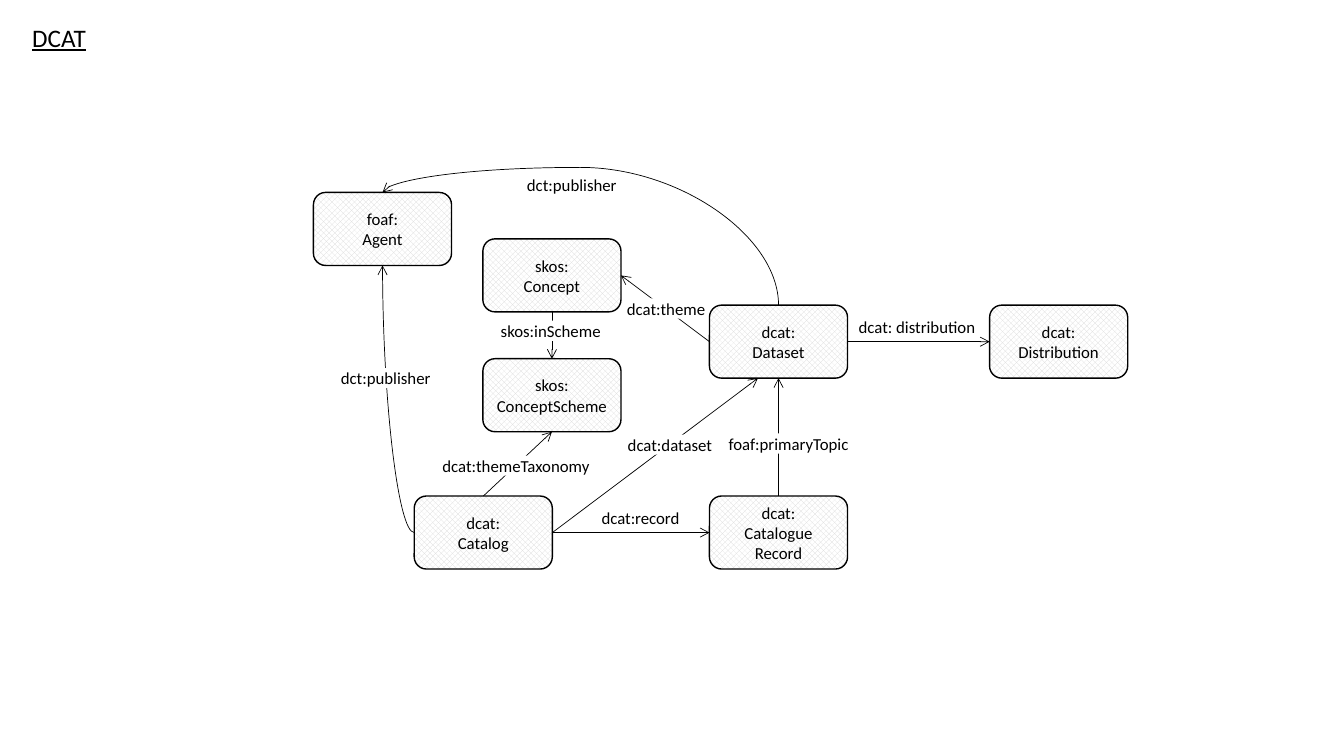
from dataclasses import dataclass

from lxml import etree
from pptx import Presentation
from pptx.dml.color import RGBColor
from pptx.enum.dml import MSO_PATTERN
from pptx.enum.shapes import MSO_CONNECTOR, MSO_SHAPE
from pptx.enum.text import MSO_ANCHOR, MSO_AUTO_SIZE, PP_ALIGN
from pptx.oxml.ns import qn
from pptx.util import Cm, Pt

ROUNDED = MSO_SHAPE.ROUNDED_RECTANGLE
DIAMONDS = MSO_PATTERN.OUTLINED_DIAMOND
STRAIGHT, CURVE = MSO_CONNECTOR.STRAIGHT, MSO_CONNECTOR.CURVE
CENTER, MIDDLE = PP_ALIGN.CENTER, MSO_ANCHOR.MIDDLE
GROW = MSO_AUTO_SIZE.SHAPE_TO_FIT_TEXT
TOP, LEFT, BOTTOM, RIGHT = range(4)


@dataclass(frozen=True)
class Theme:
    font: str = "Calibri"
    ink: RGBColor = RGBColor(0, 0, 0)
    paper: RGBColor = RGBColor(255, 255, 255)
    pattern: RGBColor = RGBColor(0xD9, 0xD9, 0xD9)
    title_size: Pt = Pt(18)
    text_size: Pt = Pt(12)
    border: Pt = Pt(1)
    arrow: Pt = Pt(0.5)


THEME = Theme()
NODE_WIDTH, NODE_HEIGHT = 3.48, 1.84
LABEL_HEIGHT, PADDED_HEIGHT = 0.51, 0.76
DATASET_ENTRY = 1.22  # from the left edge of the Dataset node

# Node: left, top inside the diagram, in cm
NODES = {
    "foaf:\nAgent": (0, 0.63),
    "skos:\nConcept": (4.27, 1.8),
    "skos:\nConceptScheme": (4.27, 4.82),
    "dcat:\nCatalog": (2.54, 8.28),
    "dcat:\nDataset": (9.98, 3.47),
    "dcat:\nCatalogue\nRecord": (9.98, 8.28),
    "dcat:\nDistribution": (17.04, 3.47),
}
# From node and side, to node and side
ARROWS = [
    ("dcat:\nDataset", RIGHT, "dcat:\nDistribution", LEFT),
    ("dcat:\nCatalogue\nRecord", TOP, "dcat:\nDataset", BOTTOM),
    ("dcat:\nCatalog", RIGHT, "dcat:\nCatalogue\nRecord", LEFT),
    ("dcat:\nDataset", LEFT, "skos:\nConcept", RIGHT),
    ("skos:\nConcept", BOTTOM, "skos:\nConceptScheme", TOP),
    ("dcat:\nCatalog", TOP, "skos:\nConceptScheme", BOTTOM),
]
# Text, left, top, width; white labels interrupt the line below them
CLEAR_LABELS = [
    ("dcat: distribution", 13.49, 3.63, 3.48),
    ("dct:publisher", 5.13, 0.05, 2.79),
]
WHITE_LABELS = [
    ("dct:publisher", 0.69, 5.05, 2.29),
    ("skos:inScheme", 4.72, 3.86, 2.57),
    ("dcat:theme", 7.9, 3.3, 2.01),
    ("dcat:dataset", 7.92, 6.73, 2.16),
    ("foaf:primaryTopic", 10.46, 6.7, 3.05),
    ("dcat:record", 7.26, 8.58, 1.98),
    ("dcat:themeTaxonomy", 3.25, 7.26, 3.76),
]


def write(shape, text, size, underline=None):
    paragraph = shape.text_frame.paragraphs[0]
    paragraph.text = text
    for run in paragraph.runs:
        run.font.name = THEME.font
        run.font.size = size
        run.font.underline = underline
        run.font.color.rgb = THEME.ink
    return paragraph


def add_text(slide, text, box, size=THEME.text_size, white=False, underline=None):
    shape = slide.shapes.add_textbox(*box)
    frame = shape.text_frame
    frame.word_wrap = False
    frame.auto_size = GROW
    if white:
        shape.fill.solid()
        shape.fill.fore_color.rgb = THEME.paper
        frame.margin_left = frame.margin_right = 0
        frame.margin_top = frame.margin_bottom = 0
    write(shape, text, size, underline)


def add_node(slide, text, left, top):
    node = slide.shapes.add_shape(ROUNDED, left, top, Cm(NODE_WIDTH), Cm(NODE_HEIGHT))
    node.shadow.inherit = False
    node.fill.patterned()
    node.fill.pattern = DIAMONDS
    node.fill.fore_color.rgb = THEME.pattern
    node.fill.back_color.rgb = THEME.paper
    node.line.color.rgb = THEME.ink
    node.line.width = THEME.border
    node.text_frame.vertical_anchor = MIDDLE
    write(node, text, THEME.text_size).alignment = CENTER
    return node


def side_point(node, side):
    middle_x, middle_y = node.left + node.width // 2, node.top + node.height // 2
    return {
        TOP: (middle_x, node.top),
        LEFT: (node.left, middle_y),
        BOTTOM: (middle_x, node.top + node.height),
        RIGHT: (node.left + node.width, middle_y),
    }[side]


def add_arrow(slide, start, start_side, end, end_side, kind=STRAIGHT, end_point=None):
    """Join two nodes; an end_point leaves the end free."""
    target = end_point or side_point(end, end_side)
    arrow = slide.shapes.add_connector(kind, *side_point(start, start_side), *target)
    arrow.begin_connect(start, start_side)
    if end_point is None:
        arrow.end_connect(end, end_side)
    arrow.line.color.rgb = THEME.ink
    arrow.line.width = THEME.arrow
    properties = arrow.element.spPr
    etree.SubElement(properties.find(qn("a:ln")), qn("a:tailEnd"), type="arrow")
    etree.SubElement(properties, qn("a:effectLst"))
    return arrow


def bend(arrow, preset, box, degrees, flip_vertical=False, adjust=None):
    """Give a curved arrow its preset, turned frame and bulge."""
    arrow.left, arrow.top, arrow.width, arrow.height = box
    properties = arrow.element.spPr
    frame = properties.find(qn("a:xfrm"))
    frame.set("rot", str(degrees * 60000))
    frame.set("flipH", "0")
    frame.set("flipV", str(int(flip_vertical)))
    geometry = properties.find(qn("a:prstGeom"))
    geometry.set("prst", preset)
    if adjust is not None:
        guides = geometry.find(qn("a:avLst"))
        formula = f"val {round(adjust * 100000)}"
        etree.SubElement(guides, qn("a:gd"), name="adj1", fmla=formula)


def add_publisher_curves(slide, agent, catalog, dataset, bulge_top):
    # Catalog, up to the bottom of Agent
    start_x, start_y = side_point(catalog, LEFT)
    end_x, end_y = side_point(agent, BOTTOM)
    arrow = add_arrow(slide, catalog, LEFT, agent, BOTTOM, CURVE)
    bend(arrow, "curvedConnector2", (end_x, end_y, start_x - end_x, start_y - end_y), 180)

    # Dataset, over the top of Agent: the frame is turned by a quarter
    start_x, start_y = side_point(dataset, TOP)
    end_x, end_y = side_point(agent, TOP)
    width, height = start_y - end_y, start_x - end_x
    box = ((start_x + end_x - width) // 2, (start_y + end_y - height) // 2, width, height)
    arrow = add_arrow(slide, dataset, TOP, agent, TOP, CURVE)
    bend(arrow, "curvedConnector3", box, 270, True, (start_y - bulge_top) / width)


def add_diagram(slide, left, top):
    nodes = {
        name: add_node(slide, name, left + Cm(x), top + Cm(y))
        for name, (x, y) in NODES.items()
    }
    catalog, dataset = nodes["dcat:\nCatalog"], nodes["dcat:\nDataset"]

    # Arrows
    for start, start_side, end, end_side in ARROWS:
        add_arrow(slide, nodes[start], start_side, nodes[end], end_side)
    entry = (dataset.left + Cm(DATASET_ENTRY), dataset.top + dataset.height)
    add_arrow(slide, catalog, RIGHT, dataset, BOTTOM, end_point=entry)
    add_publisher_curves(slide, nodes["foaf:\nAgent"], catalog, dataset, top)

    # Labels
    for labels, height, white in (
        (CLEAR_LABELS, PADDED_HEIGHT, False),
        (WHITE_LABELS, LABEL_HEIGHT, True),
    ):
        for text, x, y, width in labels:
            box = (left + Cm(x), top + Cm(y), Cm(width), Cm(height))
            add_text(slide, text, box, white=white)


def main():
    presentation = Presentation()
    presentation.slide_width, presentation.slide_height = Cm(33.87), Cm(19.05)
    slide = presentation.slides.add_slide(presentation.slide_layouts[6])
    add_diagram(slide, Cm(7.9), Cm(4.22))
    title_box = (Cm(0.56), Cm(0.43), Cm(1.88), Cm(1.02))
    add_text(slide, "DCAT", title_box, THEME.title_size, underline=True)
    presentation.save("out.pptx")


if __name__ == "__main__":
    main()
